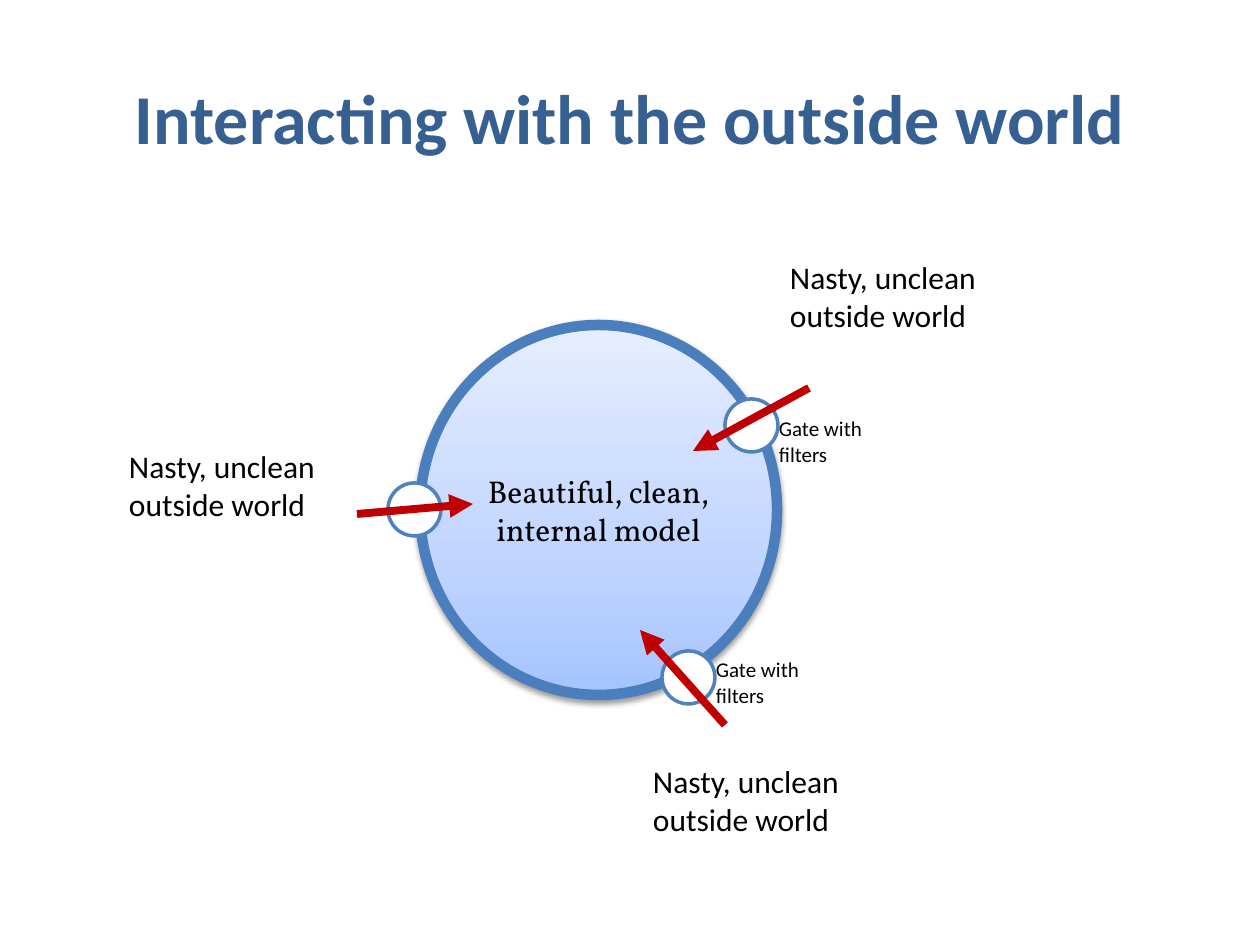
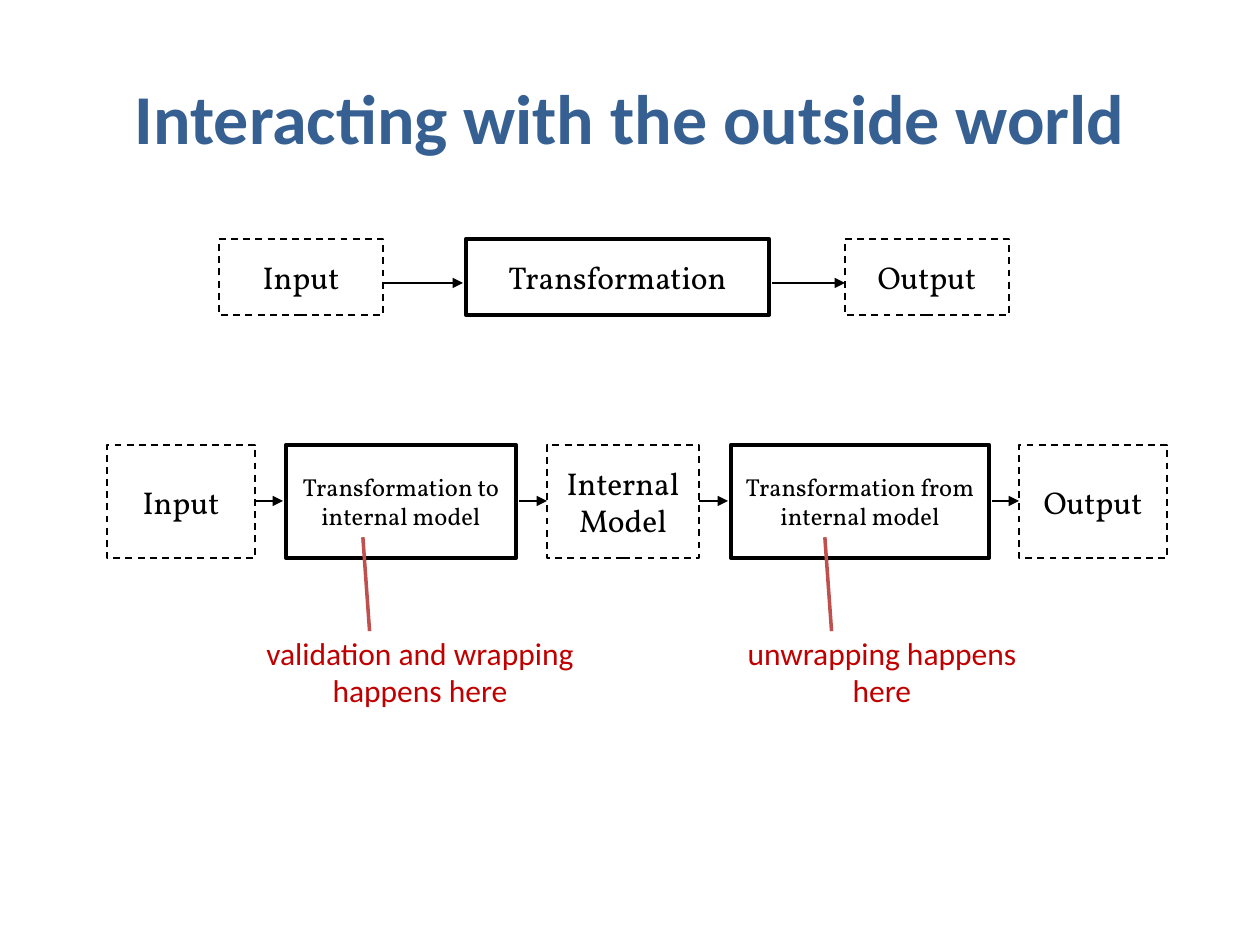
import pptx
import pptx.util
import pptx.dml.color
import pptx.enum.dml
import pptx.enum.shapes
import pptx.enum.text
import pptx.oxml
import pptx.oxml.ns
import copy

PX = 7257  # EMU per pixel at 126 px to the inch
SANS, SERIF = "Calibri", "Vollkorn"
BLACK, WHITE, RED = "000000", "FFFFFF", "C00000"
TITLE_BLUE, RING_BLUE, GATE_BLUE, CALLOUT_RED = "376092", "4B7EBC", "4F81BD", "C0504D"

rgb = pptx.dml.color.RGBColor.from_string
qn = pptx.oxml.ns.qn
SHAPES = pptx.enum.shapes.MSO_SHAPE
ALIGN = pptx.enum.text.PP_ALIGN
ANCHOR = pptx.enum.text.MSO_ANCHOR


def add_part(slide, kind, box, text="", size=18, font=SANS, color=BLACK, bold=False,
             fill=None, line=None, width=1, centred=True, insets=(13, 6)):
    """Add a shape, or a text box when kind is None."""
    place = [n * PX for n in box]
    if kind is None:
        part = slide.shapes.add_textbox(*place)
    else:
        part = slide.shapes.add_shape(kind, *place)
        part.shadow.inherit = False
        part.fill.background()
        if fill:
            part.fill.solid()
            part.fill.fore_color.rgb = rgb(fill)
        part.line.color.rgb = rgb(line)
        part.line.width = pptx.util.Pt(width)
    if text:
        frame = part.text_frame
        frame.word_wrap = True
        frame.margin_left = frame.margin_right = insets[0] * PX
        frame.margin_top = frame.margin_bottom = insets[1] * PX
        frame.vertical_anchor = ANCHOR.MIDDLE if centred else ANCHOR.TOP
        paragraph = frame.paragraphs[0]
        paragraph.alignment = ALIGN.CENTER if centred else ALIGN.LEFT
        run = paragraph.add_run()
        run.text = text
        run.font.size = pptx.util.Pt(size)
        run.font.name = font
        run.font.bold = bold
        run.font.color.rgb = rgb(color)
    return part


def add_arrow(slide, start, end, color, width):
    ends = [n * PX for n in (*start, *end)]
    arrow = slide.shapes.add_connector(pptx.enum.shapes.MSO_CONNECTOR.STRAIGHT, *ends)
    arrow.line.color.rgb = rgb(color)
    arrow.line.width = pptx.util.Pt(width)
    properties = arrow._element.spPr
    head = properties.find(qn("a:ln")).makeelement(qn("a:tailEnd"), {"type": "triangle"})
    properties.find(qn("a:ln")).append(head)
    properties.append(properties.makeelement(qn("a:effectLst"), {}))


deck = pptx.Presentation()
deck.slide_width = pptx.util.Inches(10)
deck.slide_height = pptx.util.Inches(7.5)

# Both slides carry the same title
model_slide, flow_slide = [deck.slides.add_slide(deck.slide_layouts[6]) for _ in range(2)]
for slide in (model_slide, flow_slide):
    add_part(slide, None, (63, 38, 1134, 157), "Interacting with the outside world",
             size=40, color=TITLE_BLUE, bold=True)

# Slide 1: outside world around the model
for left, top in ((777, 252), (116, 441), (640, 756)):
    add_part(model_slide, None, (left, top, 273, 89), "Nasty, unclean outside world", centred=False)

# Internal model: shaded disc with a soft shadow
model = add_part(model_slide, SHAPES.OVAL, (420, 325, 357, 370),
                 "Beautiful, clean, internal model", font=SERIF, line=RING_BLUE, width=6)
model.fill.gradient()
model.fill.gradient_angle = 90
stops = model._element.spPr.find(qn("a:gradFill")).find(qn("a:gsLst"))
stops.insert(1, copy.deepcopy(stops[0]))
shades = ((0, "A4C4FF"), (0.35, "BFD4FF"), (1, "E6EEFF"))
for stop, (position, shade) in zip(model.fill.gradient_stops, shades):
    stop.position = position
    stop.color.rgb = rgb(shade)
model._element.spPr.find(qn("a:effectLst")).append(pptx.oxml.parse_xml(
    f'<a:outerShdw {pptx.oxml.ns.nsdecls("a")} blurRad="40000" dist="20000" dir="5400000" '
    'rotWithShape="0"><a:srgbClr val="000000"><a:alpha val="38000"/></a:srgbClr></a:outerShdw>'))

# Gates on the rim, their notes, and the arrows through them
for left, top in ((725, 399), (662, 651), (388, 483)):
    add_part(model_slide, SHAPES.OVAL, (left, top, 53, 53), fill=WHITE, line=GATE_BLUE, width=2)
for left, top in ((766, 410), (703, 651)):
    add_part(model_slide, None, (left, top, 136, 63), "Gate with filters", size=12, centred=False)
for outside, inside in (((809, 388), (693, 451)), ((725, 725), (640, 630)), ((357, 514), (473, 504))):
    add_arrow(model_slide, outside, inside, RED, 4.5)

# Slide 2: flows of (text, left, width, size); data boxes are dashed, steps are solid
flows = [
    (239, 76, 283, [("Input", 219, 164, 18), ("Transformation", 466, 303, 18),
                    ("Output", 845, 164, 18)]),
    (445, 113, 501, [("Input", 107, 148, 18), ("Transformation to internal model", 286, 230, 14),
                     ("Internal Model", 547, 152, 18),
                     ("Transformation from internal model", 731, 258, 14),
                     ("Output", 1019, 148, 18)]),
]
STEP_GAP = 3  # space between an arrow and a solid box
for top, height, arrow_y, stages in flows:
    previous_end = None
    for text, left, width, size in stages:
        is_step = text.startswith("Transformation")
        tight = " " in text
        stage = add_part(flow_slide, SHAPES.RECTANGLE, (left, top, width, height), text, size, SERIF,
                         fill=None if is_step else WHITE, line=BLACK, width=2.5 if is_step else 1,
                         insets=(2, 0) if tight else (13, 6))
        if not is_step:
            stage.line.dash_style = pptx.enum.dml.MSO_LINE.DASH
        gap = STEP_GAP if is_step else 0
        if previous_end:
            add_arrow(flow_slide, (previous_end, arrow_y), (left - gap, arrow_y), BLACK, 0.75)
        previous_end = left + width + gap

# Callouts under the two inner transformations
for left, text in ((252, "validation and wrapping happens here"), (714, "unwrapping happens here")):
    callout = add_part(flow_slide, SHAPES.LINE_CALLOUT_1_NO_BORDER, (left, 640, 336, 63), text,
                       color=RED, fill=WHITE, line=CALLOUT_RED, width=2)
    for index, value in enumerate((-0.14, 0.35, -1.63, 0.33)):
        callout.adjustments[index] = value

deck.save("out.pptx")
